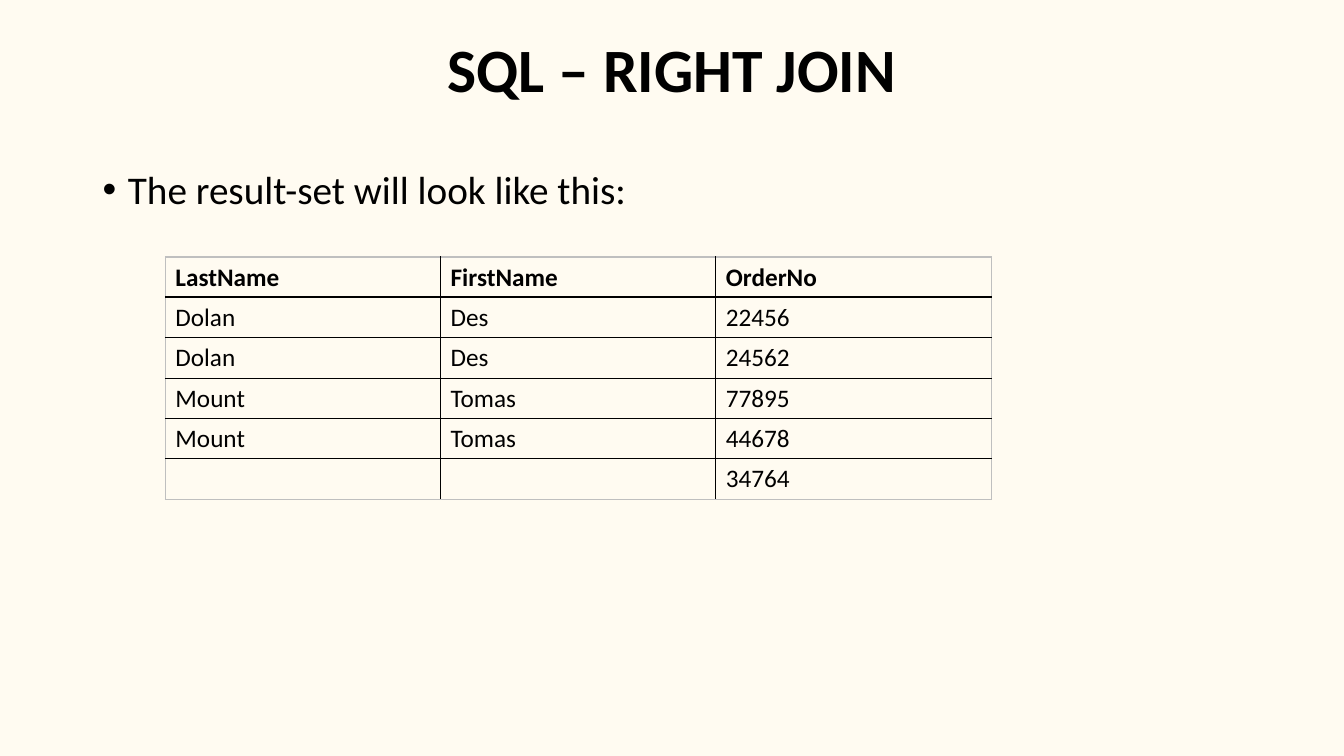
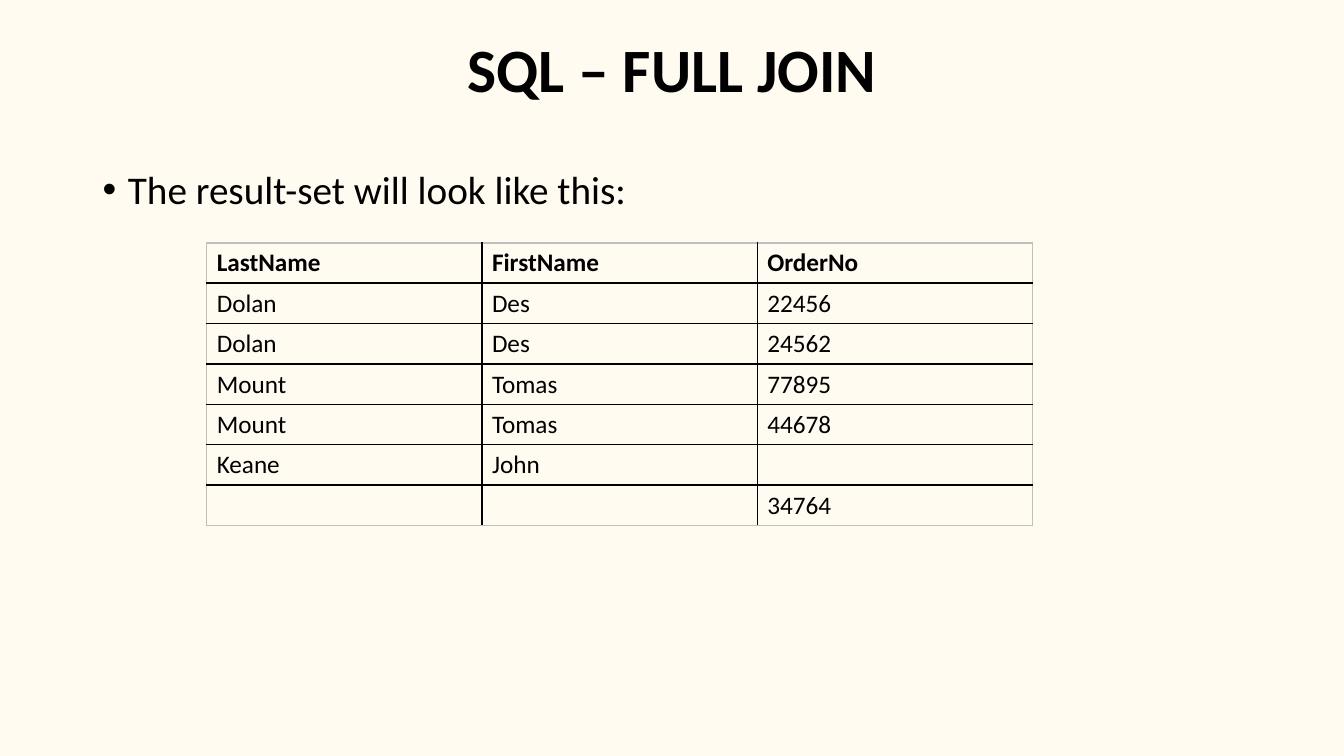
"""Build two slides that show the result sets of SQL joins."""
from dataclasses import dataclass

from lxml import etree
from pptx import Presentation
from pptx.dml.color import RGBColor
from pptx.enum import text
from pptx.oxml import ns
from pptx.util import Inches, Pt

FONT = "Calibri"
BLACK = RGBColor(0x00, 0x00, 0x00)
GREY = RGBColor(0xBF, 0xBF, 0xBF)
CREAM = RGBColor(0xFF, 0xFB, 0xF1)

COLUMN_WIDTH = 2.73
ROW_HEIGHT = 0.4
LEAD = "The result-set will look like this:"
HEADER = ("LastName", "FirstName", "OrderNo")
MATCHES = (
    ("Dolan", "Des", "22456"),
    ("Dolan", "Des", "24562"),
    ("Mount", "Tomas", "77895"),
    ("Mount", "Tomas", "44678"),
)
UNMATCHED_PERSON = ("Keane", "John", "")
UNMATCHED_ORDER = ("", "", "34764")


@dataclass(frozen=True)
class JoinSlide:
    """Title, table position and result rows of one slide."""

    title: str
    left: float
    top: float
    rows: tuple


@dataclass(frozen=True)
class Border:
    """Colour and width in points of a cell edge."""

    color: RGBColor
    width: float


OUTER = Border(GREY, 1)
INNER = Border(BLACK, 1)
HEADER_RULE = Border(BLACK, 1.5)

JOIN_SLIDES = (
    JoinSlide("SQL – RIGHT JOIN", 1.64, 2.55, (*MATCHES, UNMATCHED_ORDER)),
    JoinSlide("SQL – FULL JOIN", 2.05, 2.41,
              (*MATCHES, UNMATCHED_PERSON, UNMATCHED_ORDER)),
)


def place(shape, left: float, top: float, width: float, height: float) -> None:
    """Set the position and size of a shape in inches."""
    shape.left, shape.top = Inches(left), Inches(top)
    shape.width, shape.height = Inches(width), Inches(height)


def style_font(paragraph, size: float, bold: bool = False) -> None:
    """Give a paragraph the shared font and colour."""
    font = paragraph.font
    font.name, font.size, font.bold = FONT, Pt(size), bold
    font.color.rgb = BLACK


def add_bullet(paragraph) -> None:
    """Give a paragraph a hanging round bullet."""
    properties = paragraph._p.get_or_add_pPr()
    properties.set("marL", str(Inches(0.25)))
    properties.set("indent", str(Inches(-0.25)))
    bullet_font = etree.Element(ns.qn("a:buFont"), typeface="Arial")
    bullet = etree.Element(ns.qn("a:buChar"), char="•")
    default_run = properties.find(ns.qn("a:defRPr"))
    default_run.addprevious(bullet_font)
    default_run.addprevious(bullet)


def set_borders(cell, borders: dict[str, Border]) -> None:
    """Draw the edges of a cell, keyed by L, R, T and B."""
    properties = cell._tc.get_or_add_tcPr()
    for position, (side, border) in enumerate(borders.items()):
        line = etree.Element(ns.qn(f"a:ln{side}"), w=str(Pt(border.width)))
        fill = etree.SubElement(line, ns.qn("a:solidFill"))
        etree.SubElement(fill, ns.qn("a:srgbClr"), val=str(border.color))
        properties.insert(position, line)


def add_title(slide, title: str) -> None:
    """Move, fill and format the title placeholder."""
    shape = slide.shapes.title
    place(shape, 0, 0.14, 13.33, 1.16)
    shape.text_frame.text = title
    shape.text_frame.vertical_anchor = text.MSO_ANCHOR.MIDDLE
    paragraph = shape.text_frame.paragraphs[0]
    paragraph.alignment = text.PP_ALIGN.CENTER
    paragraph.line_spacing = 0.9
    style_font(paragraph, 44, bold=True)


def add_lead(slide) -> None:
    """Add the bulleted sentence above the table."""
    shape = slide.shapes.add_textbox(
        Inches(0.92), Inches(1.36), Inches(12.15), Inches(5.4))
    shape.text_frame.word_wrap = True
    paragraph = shape.text_frame.paragraphs[0]
    paragraph.text = LEAD
    paragraph.line_spacing = 1.5
    paragraph.space_before = Pt(10)
    style_font(paragraph, 28)
    add_bullet(paragraph)


def add_result_table(slide, join: JoinSlide) -> None:
    """Add the result set with a ruled header row."""
    rows = (HEADER, *join.rows)
    last_row, last_column = len(rows) - 1, len(HEADER) - 1
    table = slide.shapes.add_table(
        len(rows), len(HEADER), Inches(join.left), Inches(join.top),
        Inches(COLUMN_WIDTH * len(HEADER)), Inches(ROW_HEIGHT * len(rows))).table
    table.first_row = table.horz_banding = False
    for row, values in enumerate(rows):
        for column, value in enumerate(values):
            cell = table.cell(row, column)
            cell.text = value
            cell.vertical_anchor = text.MSO_ANCHOR.MIDDLE
            cell.fill.background()
            style_font(cell.text_frame.paragraphs[0], 18, bold=row == 0)
            above = {0: OUTER, 1: HEADER_RULE}.get(row, INNER)
            below = {0: HEADER_RULE, last_row: OUTER}.get(row, INNER)
            set_borders(cell, {
                "L": OUTER if column == 0 else INNER,
                "R": OUTER if column == last_column else INNER,
                "T": above,
                "B": below,
            })


def main() -> None:
    """Build and save the presentation."""
    presentation = Presentation()
    presentation.slide_width = Inches(13.33)
    presentation.slide_height = Inches(7.5)
    background = presentation.slide_master.background.fill
    background.solid()
    background.fore_color.rgb = CREAM
    title_only = presentation.slide_layouts.get_by_name("Title Only")
    for join in JOIN_SLIDES:
        slide = presentation.slides.add_slide(title_only)
        add_title(slide, join.title)
        add_lead(slide)
        add_result_table(slide, join)
    presentation.save("out.pptx")


if __name__ == "__main__":
    main()
